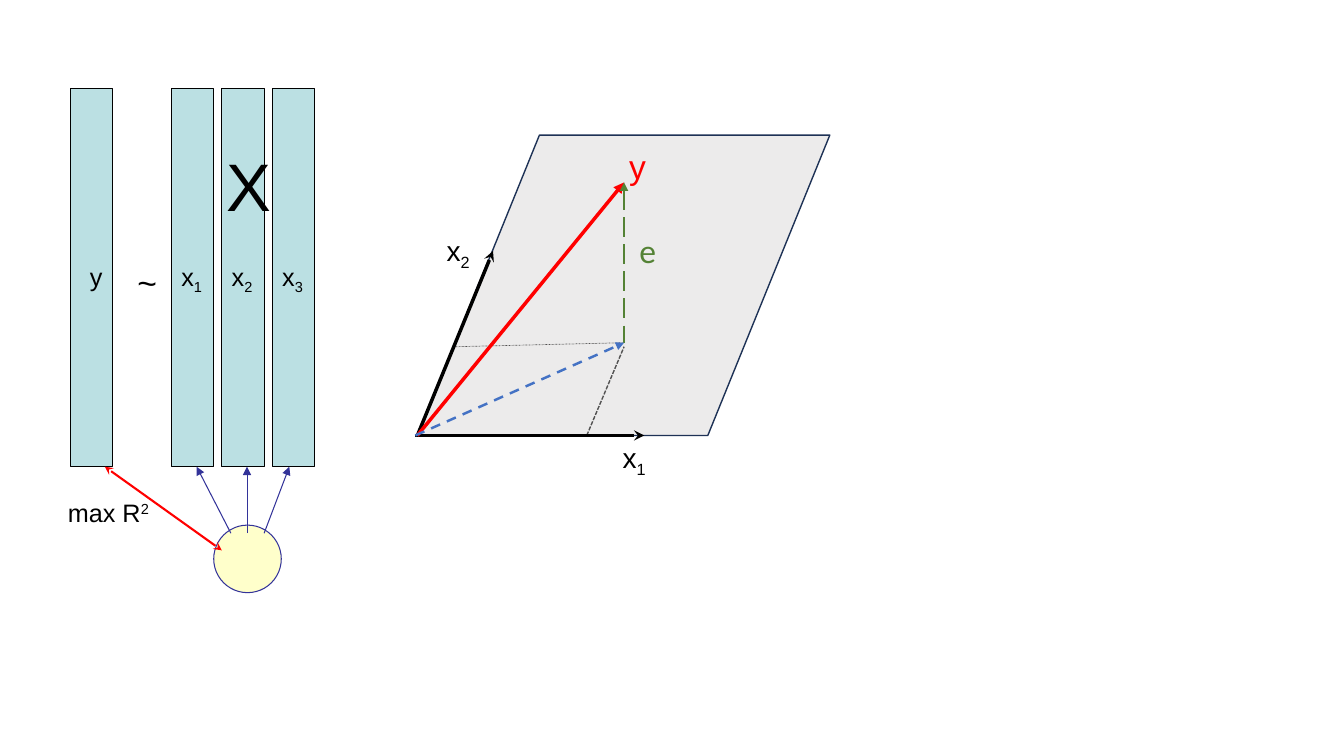
"""Regression slide: y on x1 to x3, beside the projection of y onto the x1-x2 plane."""
from lxml.etree import SubElement
from pptx import Presentation
from pptx.dml.color import RGBColor
from pptx.enum.dml import MSO_LINE as Dash
from pptx.enum.shapes import MSO_CONNECTOR as Link, MSO_SHAPE as Shape
from pptx.enum.text import MSO_AUTO_SIZE as Fit, PP_ALIGN as Align
from pptx.oxml.ns import qn
from pptx.util import Inches, Pt

COLORS = {
    "ink": "000000", "bar": "BBE0E3", "component": "FFFF99", "indigo": "333399",
    "plane": "D0CECE", "plane_edge": "1E3256", "response": "FF0000",
    "residual": "548235", "fitted": "4472C4",
}
CELL = Inches(0.1)

deck = Presentation()
deck.slide_width, deck.slide_height = Inches(13.33), Inches(7.5)
slide = deck.slides.add_slide(deck.slide_layouts[6])


def add_line(start, end, color, weight, dash=None, head=None, tail=None):
    line = slide.shapes.add_connector(
        Link.STRAIGHT, *(round(n * CELL) for n in (*start, *end)))
    line.line.color.rgb = RGBColor.from_string(COLORS[color])
    line.line.width = Pt(weight)
    if dash:
        line.line.dash_style = dash
    outline = line.line._get_or_add_ln()
    for tag, arrowhead in (("a:headEnd", head), ("a:tailEnd", tail)):
        if arrowhead:
            SubElement(outline, qn(tag), type=arrowhead)
    SubElement(line._element.spPr, qn("a:effectLst"))


def add_label(box, text, size, script="", baseline=-25, color="ink",
              font="Arial", align=Align.CENTER, wrap=False):
    label = slide.shapes.add_textbox(*(round(n * CELL) for n in box))
    frame = label.text_frame
    frame.word_wrap = wrap
    frame.auto_size = Fit.SHAPE_TO_FIT_TEXT
    paragraph = frame.paragraphs[0]
    paragraph.alignment = align
    paragraph.font.name = font
    paragraph.font.size = Pt(size)
    paragraph.font.color.rgb = RGBColor.from_string(COLORS[color])
    paragraph.add_run().text = text
    if script:
        index = paragraph.add_run()
        index.text = script
        index._r.get_or_add_rPr().set("baseline", str(baseline * 1000))


origin, plane_origin = (41.2, 43.2), (41.4, 43.2)
fitted_tip, response_tip = (61.9, 34), (61.9, 18.1)
bar_top, bar_width, bar_height = 8.8, 4.2, 37.5
bar_bottom = bar_top + bar_height
predictor_lefts = [17 + 5 * i for i in range(3)]

add_line(fitted_tip, (45.1, 34.4), "ink", 0.5, Dash.ROUND_DOT)
add_line((58.2, 43.2), (61.9, 34.4), "ink", 1, Dash.SQUARE_DOT)

bars = [(Shape.RECTANGLE, (left, bar_top, bar_width, bar_height), "bar", 100, "ink", 0.75)
        for left in (7, *predictor_lefts)]
component = (Shape.OVAL, (21.2, 52.1, 6.7, 6.7), "component", 50, "indigo", 0.75)
plane = (Shape.PARALLELOGRAM, (41.4, 13.4, 40.9, 29.8), "plane", 40, "plane_edge", 1)
for kind, box, fill, opacity, edge, weight in (*bars, component, plane):
    area = slide.shapes.add_shape(kind, *(round(n * CELL) for n in box))
    area.shadow.inherit = False
    area.fill.solid()
    area.fill.fore_color.rgb = RGBColor.from_string(COLORS[fill])
    area.line.color.rgb = RGBColor.from_string(COLORS[edge])
    area.line.width = Pt(weight)
    if opacity < 100:
        tint = area._element.spPr.find(qn("a:solidFill"))[0]
        SubElement(tint, qn("a:alpha"), val=str(opacity * 1000))
    if kind == Shape.PARALLELOGRAM:
        area.adjustments[0] = 0.406

for foot, tip in ((22.9, 19.5), (24.5, 24.5), (26.2, 28.7)):
    add_line((foot, 52.9), (tip, bar_bottom), "indigo", 0.75, tail="triangle")
add_line((10.4, bar_bottom), (22, 54.6), "response", 1.5, head="stealth", tail="stealth")

add_line(origin, (63.9, 43.2), "ink", 2.5, tail="stealth")
add_line(plane_origin, (48.9, 24.9), "ink", 2.5, tail="stealth")
add_line(plane_origin, response_tip, "response", 2.5, tail="triangle")
add_line(response_tip, fitted_tip, "residual", 1.75, Dash.LONG_DASH, head="triangle")
add_line(origin, fitted_tip, "fitted", 1.75, Dash.DASH, tail="triangle")

for number, left in enumerate(predictor_lefts, 1):
    add_label((left, 25.4, bar_width, 4), "x", 18, str(number), align=Align.LEFT)
add_label((7.9, 25.4, 3.3, 4), "y", 18)
add_label((4.5, 48.8, 12.5, 4), "max R", 18, "2", baseline=30, wrap=True)
add_label((21.4, 13.8, 6.5, 9), "X", 48)
add_label((12.6, 25.5, 4, 5), "~", 24)
add_label((60.3, 43.2, 5.2, 4.4), "x", 20, "1", wrap=True)
add_label((42.8, 22.7, 5.3, 4.4), "x", 20, "2", wrap=True)
add_label((61.4, 14, 4.2, 5), "y", 24, color="response", align=Align.LEFT, wrap=True)
add_label((61.1, 22.3, 6.3, 5), "e", 24, color="residual", font="Calibri", wrap=True)

deck.save("out.pptx")
